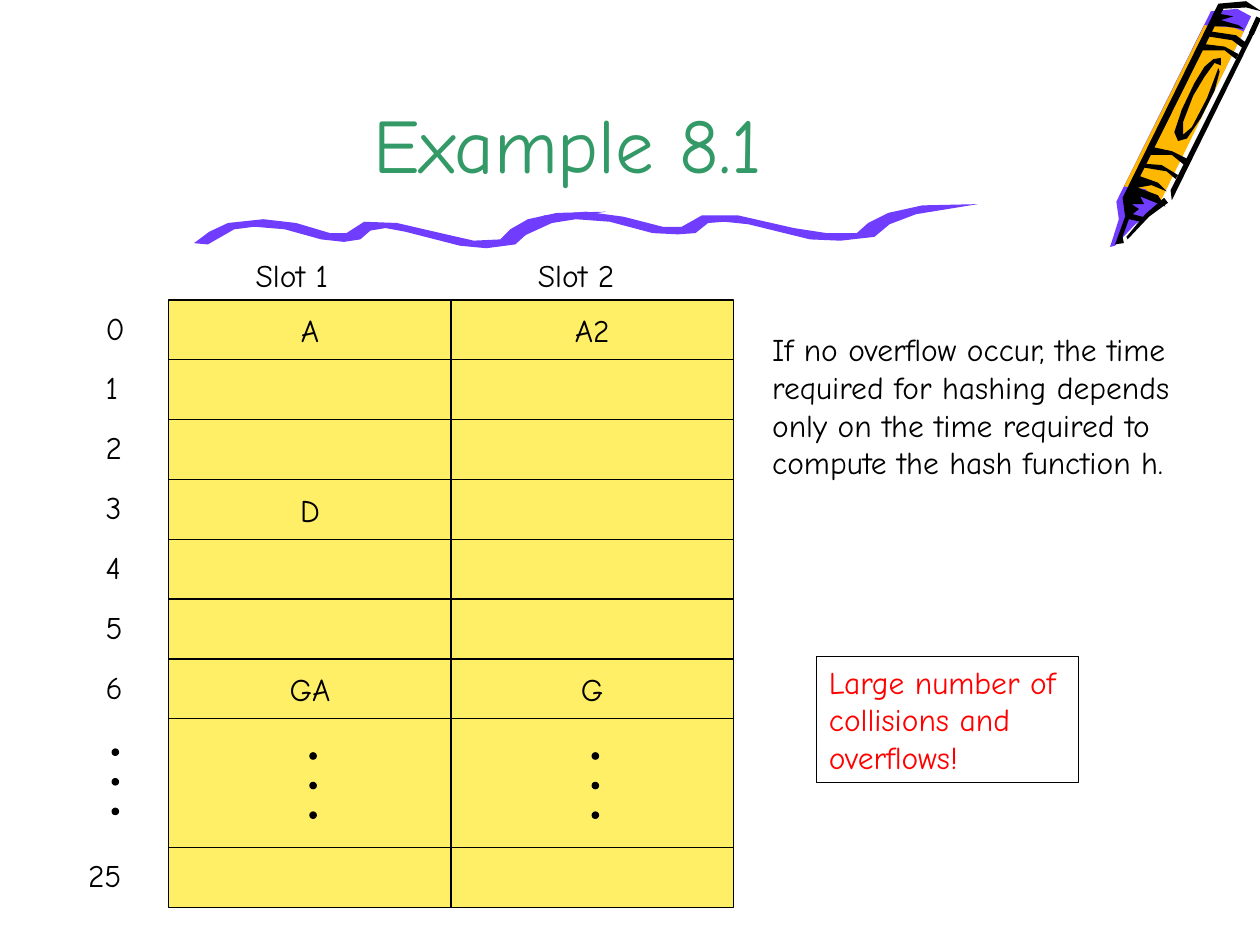
from pptx import Presentation, util as u
from pptx.dml.color import RGBColor
from pptx.enum import shapes, text
from pptx.oxml.ns import qn
from lxml import etree

FONT = "Comic Neue"
BLACK, PURPLE, ORANGE = "000000", "703DFF", "FFB800"
GREEN, YELLOW, RED = "339966", "FFEF66", "FF0000"

# Content: (bucket, slot 1, slot 2); None marks the row of dots
HEADS = ["Slot 1", "Slot 2"]
BUCKETS = [
    ("0", "A", "A2"), ("1", "", ""), ("2", "", ""), ("3", "D", ""),
    ("4", "", ""), ("5", "", ""), ("6", "GA", "G"), None, ("25", "", ""),
]
TITLE = "Example 8.1"
REMARK = ("If no overflow occur, the time required for hashing depends "
          "only on the time required to compute the hash function h.")
WARNING = "Large number of collisions and overflows!"

# Grid in inches
LEFT, TOP, COL_W, ROW_H, DOTS_H = 1.34, 2.38, 2.24, 0.475, 1.02
LABEL_X, LABEL_W, LABEL_H, DIGIT_W = 0.74, 0.41, 0.4, 0.14
DOT, DOT_GAP = 0.05, 0.235

# Outlines in hundredths of an inch: (fill, points)
CRAYON = [
    (PURPLE, "993,13 917,166 901,178 885,195 881,196 888,174 886,160 961,9 982,7"),
    (ORANGE, "921,160 909,150 892,148 956,20 979,22 987,25"),
    (BLACK, "927,161 912,172 895,190 894,188 909,170 924,157"),
    (BLACK, "987,23 973,21 961,21 968,11 979,13 969,16 983,20"),
    (BLACK, "968,57 964,72 953,94 942,110 935,112 932,105 938,87 948,66 956,53 "
            "963,47 969,46 969,52 964,50 956,61 947,76 939,97 939,107 946,101 "
            "958,78 967,54"),
    (BLACK, "997,23 930,159 929,151 993,23"),
    (BLACK, "925,164 919,155 903,149 914,147 926,152 919,145 905,140 971,7 989,6 "
            "1001,9 989,1 967,3 891,157 893,172 885,194 892,193 891,188 896,174 "
            "905,176 910,173 899,170 904,166 898,162 908,162 905,156"),
    (BLACK, "933,142 926,136 908,133 909,130 922,131 935,139"),
    (BLACK, "940,131 930,123 913,123 916,117 930,120 942,126"),
    (BLACK, "981,47 972,40 953,40 956,35 972,37 983,43"),
    (BLACK, "986,38 978,32 959,29 961,25 981,28 989,34"),
]
SQUIGGLE = [
    (PURPLE, "165,194 186,182 202,180 226,182 255,190 273,192 286,190 294,183 "
             "306,181 322,184 365,195 386,197 409,194 420,184 438,175 481,168 "
             "442,169 419,174 405,182 397,190 376,191 354,186 315,177 289,176 "
             "275,185 262,185 235,177 209,174 181,177 166,184 154,193"),
    (PURPLE, "414,188 438,177 457,174 484,176 518,185 538,186 552,185 562,177 "
             "575,176 594,178 643,190 667,191 694,188 706,178 727,170 776,162 "
             "732,163 705,169 689,177 680,185 656,185 630,181 586,171 557,171 "
             "541,180 526,180 495,172 465,168 432,171 415,178 401,188"),
]

prs = Presentation()
prs.slide_width, prs.slide_height = u.Inches(10), u.Inches(7.5)
s = prs.slides.add_slide(prs.slide_layouts[6])


def rgb(hex_):
    return RGBColor.from_string(hex_)


def paint(sp, fill=None, line=None):
    sp.shadow.inherit = False
    if fill:
        sp.fill.solid()
        sp.fill.fore_color.rgb = rgb(fill)
    else:
        sp.fill.background()
    if line:
        sp.line.color.rgb = rgb(line)
        sp.line.width = u.Pt(0.75)
    else:
        sp.line.fill.background()


def write(sp, words, color=BLACK, size=18, align="LEFT", anchor="TOP", wrap=True):
    tf = sp.text_frame
    tf.word_wrap = wrap
    tf.vertical_anchor = getattr(text.MSO_ANCHOR, anchor)
    p = tf.paragraphs[0]
    p.alignment = getattr(text.PP_ALIGN, align)
    r = p.add_run()
    r.text = words
    for key, value in {"name": FONT, "size": u.Pt(size)}.items():
        setattr(r.font, key, value)
    r.font.color.rgb = rgb(color)


def label(box, words, **fmt):
    write(s.shapes.add_textbox(*map(u.Inches, box)), words, **fmt)


def shape(kind, box, fill=None):
    sp = s.shapes.add_shape(getattr(shapes.MSO_SHAPE, kind), *map(u.Inches, box))
    paint(sp, fill, BLACK)
    return sp


def dots(x, y):
    for i in range(3):
        shape("OVAL", (x, y + i * DOT_GAP, DOT, DOT), BLACK)


# Crayon and squiggle
for fill, outline in CRAYON + SQUIGGLE:
    points = [tuple(map(int, pair.split(","))) for pair in outline.split()]
    fb = s.shapes.build_freeform(*points[0], scale=u.Inches(0.01))
    fb.add_line_segments(points[1:], close=True)
    paint(fb.convert_to_shape(), fill)

edge = s.shapes.add_connector(
    shapes.MSO_CONNECTOR.STRAIGHT, *map(u.Inches, (9.99, 0.14, 9.93, 0.27)))
edge.line.color.rgb = rgb(BLACK)
edge.line.width = u.Pt(3)
etree.SubElement(edge._element.spPr, qn("a:effectLst"))

# Title
label((0.75, 0, 7.51, 1.55), TITLE, color=GREEN, size=44, align="CENTER", anchor="BOTTOM")

# Hash table with bucket numbers
for col, head in enumerate(HEADS):
    label((LEFT + 0.59 + col * COL_W, TOP - LABEL_H, 1.08, LABEL_H), head)

y = TOP
for bucket in BUCKETS:
    height = ROW_H if bucket else DOTS_H
    number, *slots = bucket or ("", "", "")
    for col, key in enumerate(slots):
        x = LEFT + col * COL_W
        cell = shape("RECTANGLE", (x, y, COL_W, height), YELLOW)
        if key:
            write(cell, key, align="CENTER", anchor="MIDDLE", wrap=False)
        if not bucket:
            dots(x + COL_W / 2, y + 0.27)
    if bucket:
        extra = DIGIT_W * (len(number) - 1)
        label((LABEL_X - extra, y + 0.02, LABEL_W + extra, LABEL_H), number)
    else:
        dots(0.89, y + 0.24)
    y += height

# Remarks
label((6.03, 2.57, 3.78, 1.3), REMARK)
write(shape("RECTANGLE", (6.48, 5.21, 2.08, 1)), WARNING, color=RED)

prs.save("out.pptx")
